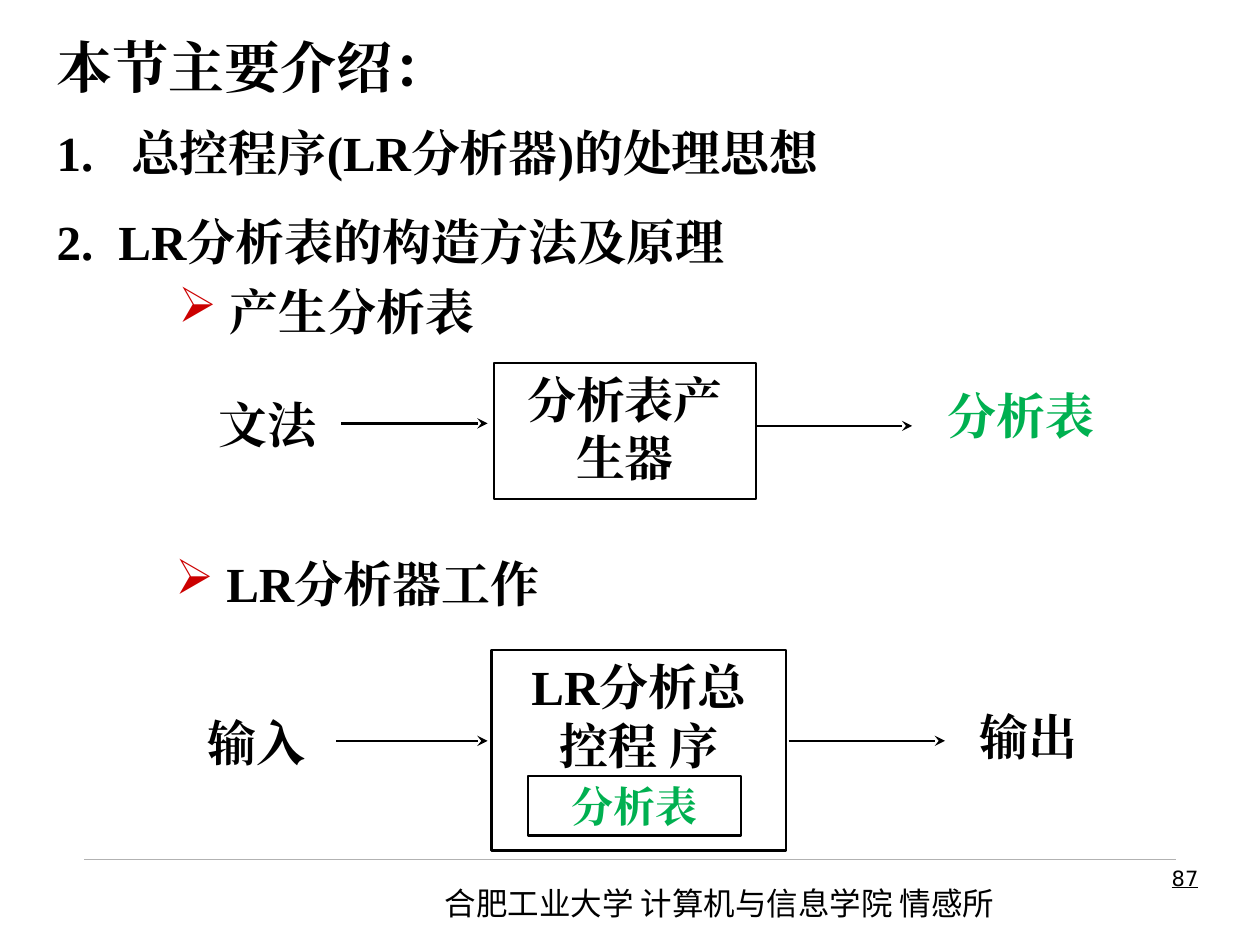
from lxml.etree import SubElement
from pptx import Presentation
from pptx.dml.color import RGBColor
from pptx.enum.shapes import MSO_CONNECTOR, MSO_SHAPE
from pptx.enum.text import MSO_ANCHOR, MSO_AUTO_SIZE, PP_ALIGN
from pptx.oxml.ns import qn
from pptx.util import Inches, Pt

# The slide is a grid of 100 columns by 75 rows
COLUMNS, ROWS = 100, 75
WIDTH, HEIGHT = Inches(10), Inches(7.5)
BLACK, GREEN, RED, GRAY = "000000", "00B050", "CC0000", "B2B2B2"
SERIF, SANS, CHINESE = "Times New Roman", "DejaVu Sans", "Noto Sans CJK SC"


def column(count):
    return round(WIDTH * count / COLUMNS)


def row(count):
    return round(HEIGHT * count / ROWS)


def color(value):
    return RGBColor.from_string(value)


def grid_box(left, top, width, height):
    return column(left), row(top), column(width), row(height)


def format_font(paragraph, size, fill=BLACK, **values):
    values = {"name": SERIF, "bold": True, "size": Pt(size), **values}
    for run in paragraph.runs:
        for key, value in values.items():
            setattr(run.font, key, value)
        run.font.color.rgb = color(fill)
        east_asian = SubElement(run.font._element, qn("a:ea"))
        east_asian.set("typeface", values["name"])


def format_frame(shape, wrap=True, anchor=MSO_ANCHOR.TOP):
    values = {"auto_size": MSO_AUTO_SIZE.NONE, "word_wrap": wrap,
              "vertical_anchor": anchor}
    for key, value in values.items():
        setattr(shape.text_frame, key, value)


def move(shape, box):
    for key, value in zip(("left", "top", "width", "height"), grid_box(*box)):
        setattr(shape, key, value)


def add_label(slide, text, box, size=28, fill=BLACK, align=PP_ALIGN.CENTER,
              wrap=False, anchor=MSO_ANCHOR.MIDDLE, **font):
    shape = slide.shapes.add_textbox(*grid_box(*box))
    format_frame(shape, wrap, anchor)
    paragraph = shape.text_frame.paragraphs[0]
    paragraph.text, paragraph.alignment = text, align
    format_font(paragraph, size, fill, **font)
    return paragraph


def add_bullet_label(slide, text, box):
    properties = add_label(slide, text, box)._p.get_or_add_pPr()
    bullet_color = SubElement(properties, qn("a:buClr"))
    SubElement(bullet_color, qn("a:srgbClr")).set("val", RED)
    SubElement(properties, qn("a:buChar")).set("char", "➢")


def add_process(slide, text, box, size=28, fill=BLACK, anchor=MSO_ANCHOR.TOP):
    shape = slide.shapes.add_shape(MSO_SHAPE.RECTANGLE, *grid_box(*box))
    shape.shadow.inherit = False
    shape.fill.background()
    shape.line.color.rgb, shape.line.width = color(BLACK), Pt(1.5)
    format_frame(shape, anchor=anchor)
    paragraph = shape.text_frame.paragraphs[0]
    paragraph.text, paragraph.alignment = text, PP_ALIGN.CENTER
    format_font(paragraph, size, fill)


def add_line(slide, start, end, level, stroke=BLACK, width=1.5, arrow=True):
    line = slide.shapes.add_connector(MSO_CONNECTOR.STRAIGHT, column(start),
                                      row(level), column(end), row(level))
    line.line.color.rgb, line.line.width = color(stroke), Pt(width)
    if arrow:
        SubElement(line.line._get_or_add_ln(), qn("a:tailEnd")).set("type", "stealth")
    SubElement(line._element.spPr, qn("a:effectLst"))


def fill_title(shape, text, box):
    move(shape, box)
    format_frame(shape)
    paragraph = shape.text_frame.paragraphs[0]
    paragraph.text, paragraph.alignment = text, PP_ALIGN.LEFT
    format_font(paragraph, 32)


def fill_numbered_list(shape, items, box):
    move(shape, box)
    format_frame(shape)
    shape.text_frame.text = "\n".join(text for text, _ in items)
    for index, (paragraph, (_, indent)) in enumerate(
            zip(shape.text_frame.paragraphs, items)):
        paragraph.space_before = Pt(17.5 if index else 0)
        properties = paragraph._p.get_or_add_pPr()
        properties.set("marL", str(column(indent)))
        properties.set("indent", str(-column(indent)))
        SubElement(properties, qn("a:buFont")).set("typeface", SERIF)
        SubElement(properties, qn("a:buAutoNum")).set("type", "arabicPeriod")
        format_font(paragraph, 28)


def main():
    presentation = Presentation()
    presentation.slide_width, presentation.slide_height = WIDTH, HEIGHT
    slide = presentation.slides.add_slide(presentation.slide_layouts[1])

    # Heading and topics, each with its own hanging indent
    title, body = slide.placeholders
    fill_title(title, "本节主要介绍：", (3.5, 2.1, 90, 6.4))
    fill_numbered_list(body, [("总控程序(LR分析器)的处理思想", 5.9),
                              ("LR分析表的构造方法及原理", 4.9)],
                       (3.5, 9.2, 90, 10.8))

    # Building the table
    add_bullet_label(slide, " 产生分析表", (13.4, 21.3, 25, 6.7))
    add_label(slide, "文法", (14.6, 30.3, 13.3, 6.7))
    add_line(slide, 27.1, 38.7, 33.6)
    add_process(slide, "分析表产生器", (39.2, 28.8, 20.8, 10.8))
    add_line(slide, 60, 72.4, 33.8)
    add_label(slide, "分析表", (73.4, 29.6, 15.2, 6.7), fill=GREEN)

    # Running the analyser
    add_bullet_label(slide, " LR分析器工作", (15, 42.9, 26.7, 6.7))
    add_label(slide, "输入", (13, 55.5, 14.7, 6.7))
    add_line(slide, 26.7, 38.7, 58.8)
    add_process(slide, "LR分析总 控程 序", (39, 51.6, 23.4, 15.9))
    add_process(slide, "分析表", (41.9, 61.6, 16.9, 4.7), 24, GREEN,
                MSO_ANCHOR.MIDDLE)
    add_line(slide, 62.6, 75, 58.8)
    add_label(slide, "输出", (75, 55.5, 13.3, 5.8))

    # Footer
    add_line(slide, 6.7, 93.3, 68.2, GRAY, 0.25, arrow=False)
    add_label(slide, "合肥工业大学 计算机与信息学院 情感所", (34.3, 69.7, 48, 4), 18,
              align=PP_ALIGN.LEFT, wrap=True, anchor=MSO_ANCHOR.TOP,
              name=CHINESE, bold=False)
    add_label(slide, "87", (74.4, 68.2, 21.7, 5.2), 12, align=PP_ALIGN.RIGHT,
              wrap=True, anchor=MSO_ANCHOR.TOP, name=SANS, bold=False,
              underline=True)

    presentation.save("out.pptx")


if __name__ == "__main__":
    main()
